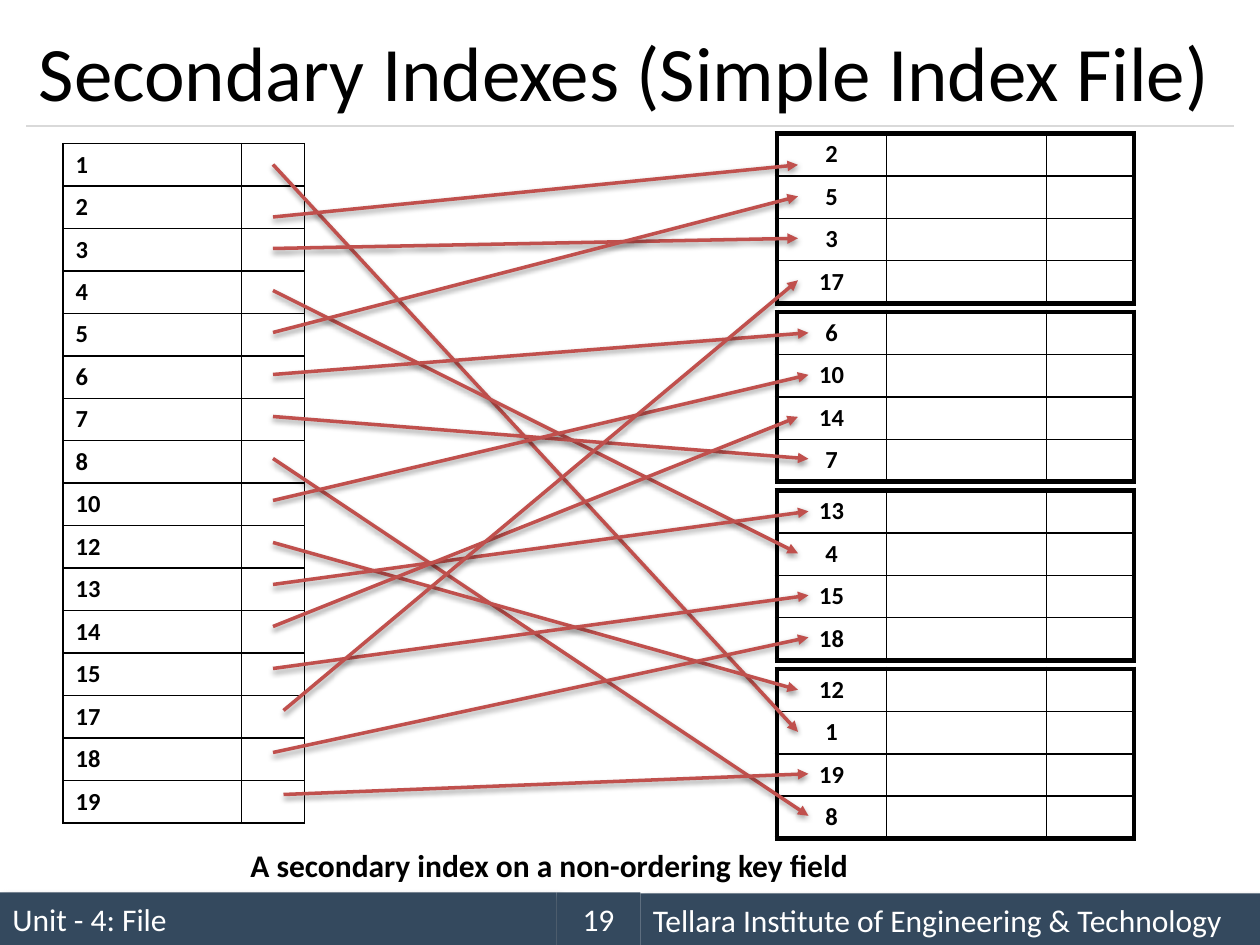
from lxml.etree import SubElement
from pptx import Presentation
from pptx.dml.color import RGBColor
from pptx.enum.shapes import MSO_CONNECTOR as Connector, MSO_SHAPE as Shape
from pptx.enum.text import MSO_ANCHOR as Anchor, MSO_AUTO_SIZE as AutoSize, PP_ALIGN as Align
from pptx.oxml.ns import qn
from pptx.util import Pt

# Content
TITLE = "Secondary Indexes (Simple Index File)"
CAPTION = "A secondary index on a non-ordering key field"
INDEX_KEYS = [1, 2, 3, 4, 5, 6, 7, 8, 10, 12, 13, 14, 15, 17, 18, 19]
DATA_BLOCKS = [[2, 5, 3, 17], [6, 10, 14, 7], [13, 4, 15, 18], [12, 1, 19, 8]]
FOOTER = [  # text, left, top, width, alignment, has shadow
    ("Unit - 4: File", 0, 510, 318, Align.LEFT, True),
    ("Tellara Institute of Engineering & Technology", 366, 510.5, 354, Align.LEFT, True),
    ("19", 318, 510, 48, Align.CENTER, False),
]

# Theme
THEME = {
    "font": "Calibri",
    "text": "000000", "light": "FFFFFF", "bar": "34495E",
    "rule": "D9D9D9", "arrow": "C0504D", "border": "000000",
    "title size": 44, "body size": 18, "cell size": 14,
    "thin": 1, "thick": 3,
}

# Layout, in points
ROW = 24
INDEX_LEFT, INDEX_TOP, INDEX_COLUMNS = 36, 82, [102, 36]
BLOCK_LEFT, BLOCK_TOP, BLOCK_STEP, BLOCK_COLUMNS = 444, 76.2, 102, [62.5, 91.5, 50]
ARROW_START, ARROW_END, ARROW_NUDGE = 156, 456, 6
LATE_STARTS = {17, 19}
LATE_ENDS = {6, 7, 8, 10, 13, 15, 18, 19}
LOWERED = {2}


def color(name):
    return RGBColor.from_string(THEME[name])


def write(frame, text, size, color_name="text", bold=False, align=Align.LEFT):
    frame.text = text
    paragraph = frame.paragraphs[0]
    paragraph.alignment = align
    for target in (paragraph, *paragraph.runs):
        font = target.font
        font.name, font.size, font.bold = THEME["font"], Pt(THEME[size]), bold
        font.color.rgb = color(color_name)


def add_shadow(shape, blur, distance, degrees, opacity):
    effects = SubElement(shape._element.spPr, qn("a:effectLst"))
    shadow = SubElement(effects, qn("a:outerShdw"), blurRad=str(Pt(blur)),
                        dist=str(Pt(distance)), dir=str(degrees * 60000), rotWithShape="0")
    black = SubElement(shadow, qn("a:srgbClr"), val="000000")
    SubElement(black, qn("a:alpha"), val=str(opacity * 1000))


def add_line(slide, start, end, color_name, width):
    line = slide.shapes.add_connector(Connector.STRAIGHT, *map(Pt, (*start, *end)))
    line.line.color.rgb = color(color_name)
    line.line.width = Pt(width)
    return line


def set_borders(cell, widths):
    properties = cell._tc.get_or_add_tcPr()
    for side in "LRTB":
        border = SubElement(properties, qn(f"a:ln{side}"), w=str(Pt(widths[side])))
        fill = SubElement(border, qn("a:solidFill"))
        SubElement(fill, qn("a:srgbClr"), val=THEME["border"])


def add_key_table(slide, keys, left, top, columns, outer, align):
    last_row, last_column = len(keys) - 1, len(columns) - 1
    table = slide.shapes.add_table(len(keys), len(columns), Pt(left), Pt(top),
                                   Pt(sum(columns)), Pt(ROW * len(keys))).table
    table.first_row = table.horz_banding = False
    for column, width in zip(table.columns, columns):
        column.width = Pt(width)
    for r, key in enumerate(keys):
        table.rows[r].height = Pt(ROW)
        for c in range(len(columns)):
            cell = table.cell(r, c)
            write(cell.text_frame, str(key) if c == 0 else "", "cell size",
                  bold=True, align=align)
            at_edge = {"L": c == 0, "R": c == last_column, "T": r == 0, "B": r == last_row}
            set_borders(cell, {side: THEME[outer if edge else "thin"]
                               for side, edge in at_edge.items()})
            cell.fill.background()


def add_bar(slide, text, left, top, width, align, has_shadow):
    bar = slide.shapes.add_shape(Shape.RECTANGLE, Pt(left), Pt(top), Pt(width), Pt(30))
    bar.fill.solid()
    bar.fill.fore_color.rgb = color("bar")
    bar.line.fill.background()
    if has_shadow:
        add_shadow(bar, 4, 3, 45, 40)
    else:
        bar.shadow.inherit = False
    bar.text_frame.vertical_anchor = Anchor.MIDDLE
    write(bar.text_frame, text, "body size", "light", align=align)


def main():
    presentation = Presentation()
    presentation.slide_width, presentation.slide_height = Pt(720), Pt(540)
    slide = presentation.slides.add_slide(presentation.slide_layouts[5])

    # Title and rule
    title = slide.shapes.title
    title.left, title.top, title.width, title.height = Pt(15), Pt(9), Pt(690), Pt(63)
    title.text_frame.auto_size = AutoSize.NONE
    title.text_frame.vertical_anchor = Anchor.MIDDLE
    write(title.text_frame, TITLE, "title size")
    rule = add_line(slide, (15, 72), (705, 72), "rule", 0.75)
    SubElement(rule._element.spPr, qn("a:effectLst"))

    # Footer
    for bar in FOOTER:
        add_bar(slide, *bar)

    # Data blocks and index
    key_ends = {}
    for b, keys in enumerate(DATA_BLOCKS):
        top = BLOCK_TOP + b * BLOCK_STEP
        add_key_table(slide, keys, BLOCK_LEFT, top, BLOCK_COLUMNS, "thick", Align.CENTER)
        for r, key in enumerate(keys):
            key_ends[key] = (ARROW_END + ARROW_NUDGE * (key in LATE_ENDS),
                             top + ROW * (r + 0.5) + ARROW_NUDGE * (key in LOWERED))
    add_key_table(slide, INDEX_KEYS, INDEX_LEFT, INDEX_TOP, INDEX_COLUMNS, "thin", Align.LEFT)

    # Pointers from each index entry to its record
    for r, key in enumerate(INDEX_KEYS):
        start = (ARROW_START + ARROW_NUDGE * (key in LATE_STARTS),
                 INDEX_TOP + ROW * (r + 0.5) + ARROW_NUDGE * (key in LOWERED))
        arrow = add_line(slide, start, key_ends[key], "arrow", 2)
        SubElement(arrow._element.spPr.find(qn("a:ln")), qn("a:tailEnd"), type="triangle")
        add_shadow(arrow, 3.1, 1.6, 90, 38)

    # Caption
    caption = slide.shapes.add_textbox(Pt(136), Pt(480), Pt(358.5), Pt(29))
    caption.text_frame.word_wrap = False
    caption.text_frame.auto_size = AutoSize.SHAPE_TO_FIT_TEXT
    write(caption.text_frame, CAPTION, "body size", bold=True)

    presentation.save("out.pptx")


if __name__ == "__main__":
    main()
